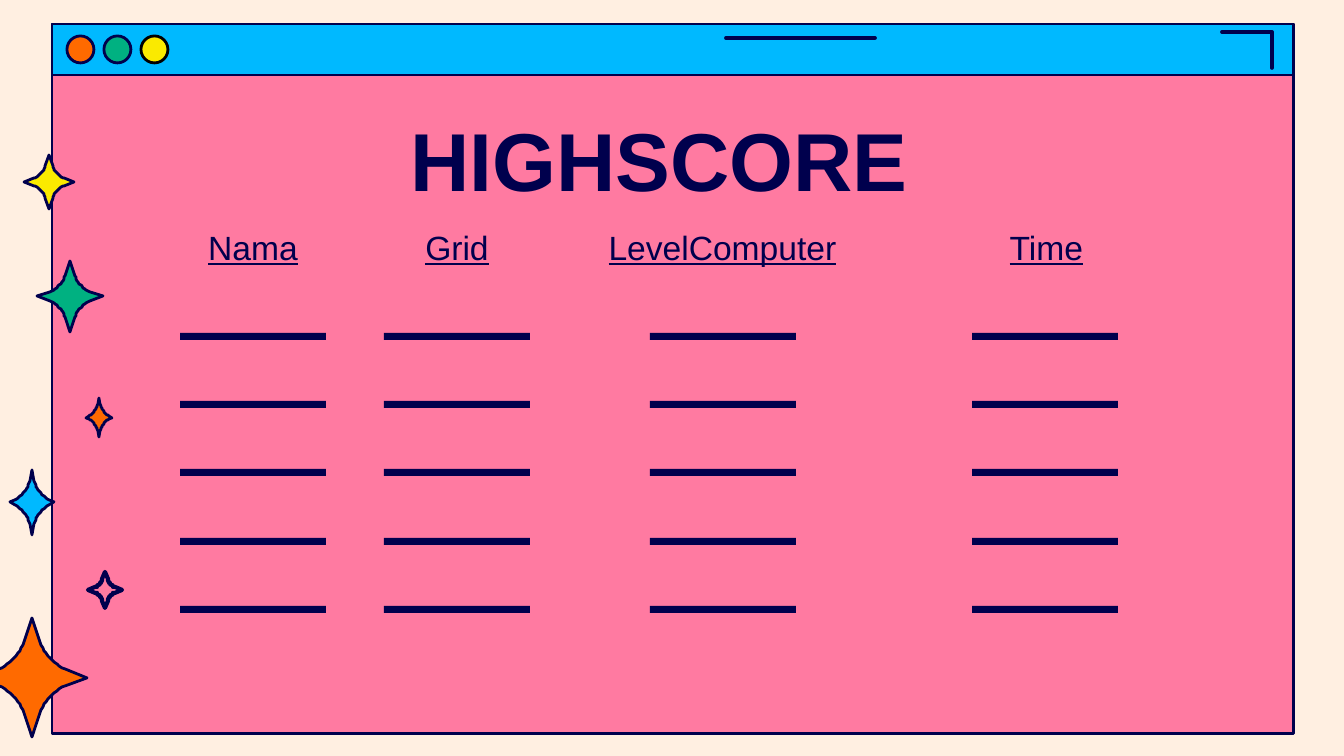
import lxml.etree
import pptx
import pptx.dml.color
import pptx.enum.shapes
import pptx.enum.text
import pptx.oxml.ns
import pptx.util

PX = 9144000 / 1344
NAVY, PINK, BLUE = "00004D", "FF7AA1", "00B9FF"
ORANGE, GREEN, YELLOW = "FF6A00", "00B181", "FAEA00"

# One quarter of a star: tip, start of the curve, two control points, end of the curve
WIDE = [(0, -1), (0.15, -0.59), (0.22, -0.39), (0.38, -0.23), (0.6, -0.14)]
SLIM = [(0, -1), (0.1, -0.67), (0.2, -0.42), (0.44, -0.2), (0.78, -0.08)]

# Left, top, width, height, fill, quarter, line width
STARS = [
    (10, 470, 44, 65, BLUE, SLIM, 1.5),
    (88, 572, 34, 36, None, WIDE, 2.25),
    (-23, 618, 110, 119, ORANGE, WIDE, 1.5),
    (37, 261, 66, 71, GREEN, WIDE, 1.5),
    (86, 398, 26, 39, ORANGE, SLIM, 1.5),
    (24, 155, 50, 54, YELLOW, WIDE, 1.5),
]

# Heading, heading left and width, left of the score lines
COLUMNS = [
    ("Nama", 180, 146, 180),
    ("Grid", 384, 146, 384),
    ("LevelComputer", 589, 267, 650),
    ("Time", 913, 267, 972),
]


def emu(px):
    return pptx.util.Emu(round(px * PX))


def rgb(code):
    return pptx.dml.color.RGBColor.from_string(code)


def paint(shape, fill, line=None, width=1.5):
    shape.shadow.inherit = False
    if fill:
        shape.fill.solid()
        shape.fill.fore_color.rgb = rgb(fill)
    else:
        shape.fill.background()
    if line:
        shape.line.color.rgb = rgb(line)
        shape.line.width = pptx.util.Pt(width)
    else:
        shape.line.fill.background()


def add_preset(slide, kind, left, top, width, height, fill, line=None):
    preset = getattr(pptx.enum.shapes.MSO_SHAPE, kind)
    shape = slide.shapes.add_shape(preset, emu(left), emu(top), emu(width), emu(height))
    paint(shape, fill, line)


def add_outline(slide, points, fill, width, closed):
    """Draw a path with rounded ends and joins through the points."""
    builder = slide.shapes.build_freeform(*points[0], scale=PX)
    builder.add_line_segments(points[1:], close=closed)
    shape = builder.convert_to_shape()
    paint(shape, fill, NAVY, width)
    line = shape.element.spPr.find(pptx.oxml.ns.qn("a:ln"))
    line.set("cap", "rnd")
    lxml.etree.SubElement(line, pptx.oxml.ns.qn("a:round"))


def add_window(slide, left, top, width, height):
    add_preset(slide, "RECTANGLE", left, top, width, height, PINK, NAVY)
    add_preset(slide, "RECTANGLE", left, top, width, 51, BLUE, NAVY)
    for index, (fill, line) in enumerate([(ORANGE, NAVY), (GREEN, NAVY), (YELLOW, "000000")]):
        add_preset(slide, "OVAL", left + 15 + 37 * index, top + 12, 27, 27, fill, line)
    grip = [(left + 674, top + 14), (left + 823, top + 14)]
    right = left + width
    corner = [(right - 72, top + 8), (right - 22, top + 8), (right - 22, top + 44)]
    for stroke in (grip, corner):
        add_outline(slide, stroke, None, 2, closed=False)


def add_star(slide, left, top, width, height, fill, quarter, line_width):
    tip, start, pull_out, pull_in, end = quarter
    arc = [tip]
    for step in range(13):
        t = step / 12
        weights = ((1 - t) ** 3, 3 * t * (1 - t) ** 2, 3 * t * t * (1 - t), t ** 3)
        curve = list(zip(weights, (start, pull_out, pull_in, end)))
        arc.append((sum(w * x for w, (x, y) in curve), sum(w * y for w, (x, y) in curve)))
    side = arc + [(1, 0)] + [(x, -y) for x, y in reversed(arc)]
    unit = side + [(-x, -y) for x, y in side[1:-1]]
    points = [(left + width * (1 + x) / 2, top + height * (1 + y) / 2) for x, y in unit]
    add_outline(slide, points, fill, line_width, closed=True)


def write(box, text, left, top, width, height, size, inset_top, bold=None, underline=None):
    box.left, box.top, box.width, box.height = map(emu, (left, top, width, height))
    frame = box.text_frame
    frame.text = text
    frame.word_wrap = True
    frame.auto_size = pptx.enum.text.MSO_AUTO_SIZE.NONE
    frame.vertical_anchor = pptx.enum.text.MSO_ANCHOR.TOP
    frame.margin_left = frame.margin_right = frame.margin_bottom = emu(13)
    frame.margin_top = emu(inset_top)
    paragraph = frame.paragraphs[0]
    paragraph.alignment = pptx.enum.text.PP_ALIGN.CENTER
    paragraph.space_before = pptx.util.Pt(0)
    paragraph.line_spacing = 1.0
    properties = paragraph._p.get_or_add_pPr()
    properties.set("marL", "0")
    properties.set("indent", "0")
    lxml.etree.SubElement(properties, pptx.oxml.ns.qn("a:buNone"))
    font = paragraph.runs[0].font
    font.name = "Arial"
    font.size = pptx.util.Pt(size)
    font.color.rgb = rgb(NAVY)
    font.bold, font.underline = bold, underline


def add_score_board(slide, top, height, first_heading):
    for index, (heading, left, width, line_left) in enumerate(COLUMNS):
        box = first_heading if index == 0 else slide.shapes.add_textbox(0, 0, 0, 0)
        write(box, heading, left, top, width, 58, 18, 17, underline=True)
        for row in range(5):
            line_top = top + 123 + round(row * (height - 130) / 4)
            add_preset(slide, "RECTANGLE", line_left, line_top, 146, 7, NAVY)


def main():
    deck = pptx.Presentation()
    deck.slide_width, deck.slide_height = emu(1344), emu(756)
    slide = deck.slides.add_slide(deck.slide_layouts[1])
    slide.background.fill.solid()
    slide.background.fill.fore_color.rgb = rgb("FFEFE1")

    add_window(slide, 52, 24, 1242, 710)
    for star in STARS:
        add_star(slide, *star)

    title, first_heading = slide.placeholders
    for placeholder in (title, first_heading):
        slide.shapes.element.append(placeholder.element)  # in front of the window
    write(title, "HIGHSCORE ", 102, 86, 1137, 122, 44, 23, bold=True)
    add_score_board(slide, 210, 403, first_heading)
    deck.save("out.pptx")


if __name__ == "__main__":
    main()
